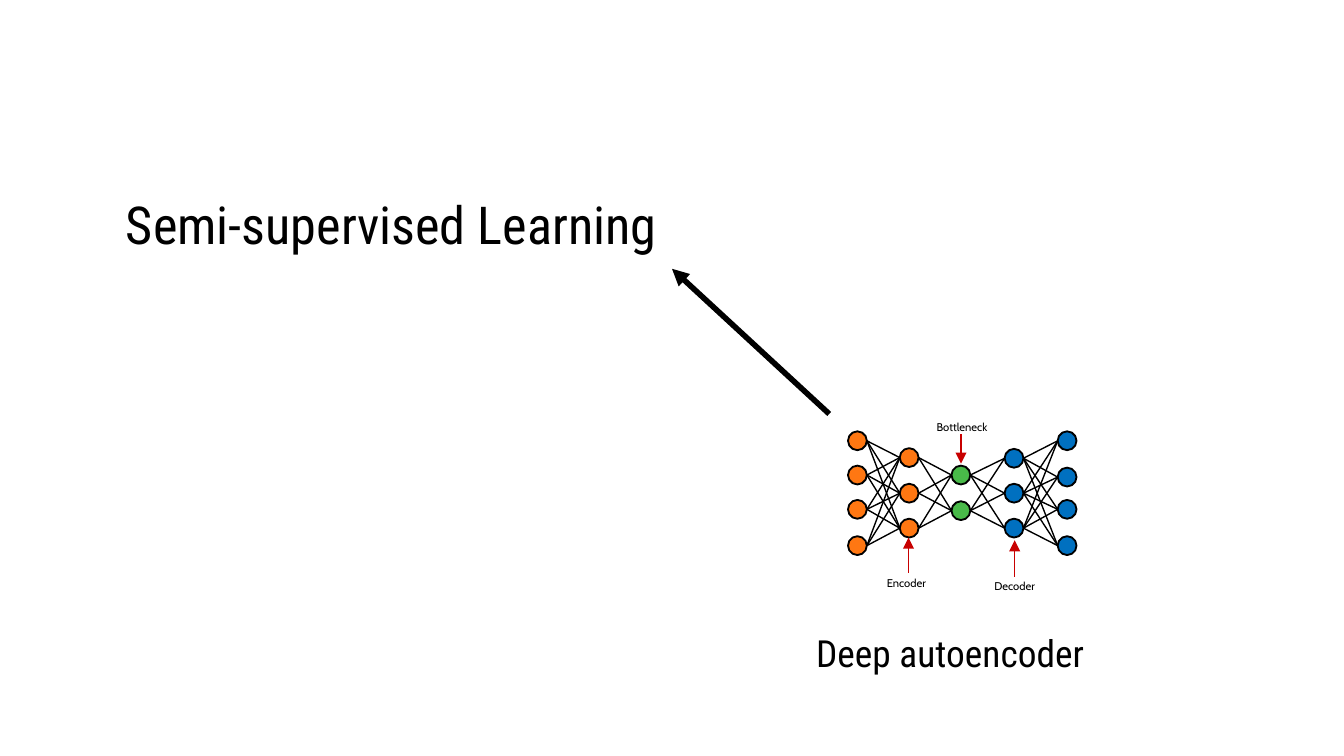
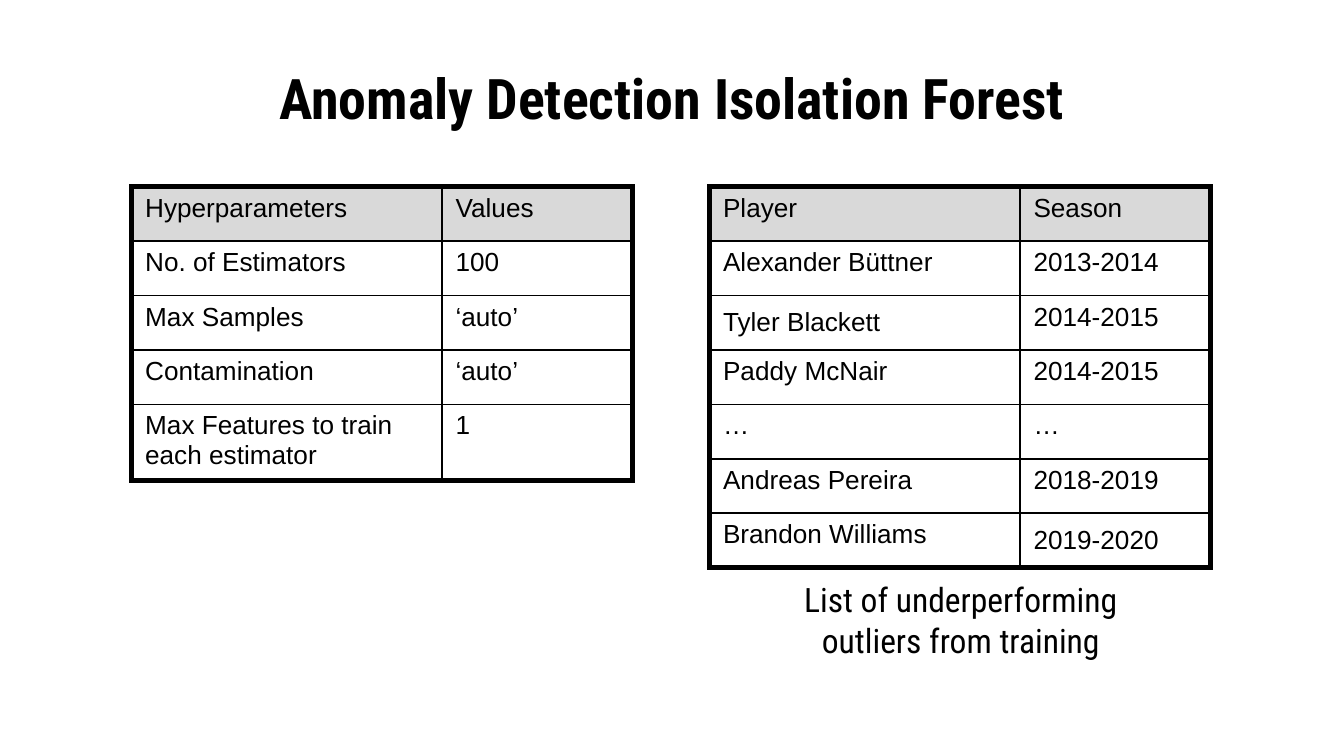
import itertools
from dataclasses import dataclass
from typing import Any

import pptx
import pptx.dml.color
import pptx.enum.shapes
import pptx.enum.text
import pptx.oxml
import pptx.oxml.ns
import pptx.oxml.xmlchemy
import pptx.util

PX = 4572  # EMU per px: 200 px to the inch
BLACK, ORANGE, GREEN, BLUE = "000000", "FF7712", "49BA49", "0070C0"
RED, WHITE, HEADER_GREY = "C80000", "FFFFFF", "D9D9D9"
HEADING_FONT, LABEL_FONT, TABLE_FONT = "Roboto Condensed", "Cabin", "Arial"
MIDDLE = pptx.enum.text.MSO_ANCHOR.MIDDLE
TOP = pptx.enum.text.MSO_ANCHOR.TOP
CENTER = pptx.enum.text.PP_ALIGN.CENTER
LEFT = pptx.enum.text.PP_ALIGN.LEFT

Point = tuple[int, int]


@dataclass(frozen=True)
class Style:
    font: str
    size: int
    bold: bool = False
    align: Any = CENTER
    anchor: Any = MIDDLE
    inset: tuple[int, int] = (20, 20)
    spacing: float | None = None
    wrap: bool = True


@dataclass(frozen=True)
class Layer:
    x: int
    ys: tuple[int, ...]
    color: str


@dataclass(frozen=True)
class Callout:
    text: str
    box: tuple[int, int, int, int]
    start: Point
    end: Point


@dataclass(frozen=True)
class Grid:
    left: int
    rows: tuple[tuple[str, str], ...]
    centred: tuple[Point, ...] = ()  # (row, column) of vertically centred cells


TITLE = Style(HEADING_FONT, 30, bold=True, anchor=TOP, spacing=0.5)
TOPIC = Style(HEADING_FONT, 28)
MODEL = Style(HEADING_FONT, 20)
CAPTION = Style(HEADING_FONT, 18, anchor=TOP)
LABEL = Style(LABEL_FONT, 6, align=LEFT, anchor=TOP, inset=(20, 10), wrap=False)
CELL = Style(TABLE_FONT, 14, align=LEFT)

NODE = 28
LAYERS = (
    Layer(1276, (656, 707, 758, 812), ORANGE),
    Layer(1353, (681, 734, 786), ORANGE),
    Layer(1430, (707, 760), GREEN),
    Layer(1509, (682, 734, 786), BLUE),
    Layer(1588, (656, 710, 758, 812), BLUE),
)
CALLOUTS = (
    Callout("Bottleneck", (1374, 616, 122, 40), (1430, 646), (1430, 690)),
    Callout("Encoder", (1300, 848, 104, 40), (1352, 852), (1352, 800)),
    Callout("Decoder", (1460, 852, 104, 40), (1510, 858), (1510, 804)),
)

COLUMN_WIDTHS = (462, 284)
ROW_HEIGHT = 81
TABLE_TOP = 278
HYPERPARAMETERS = Grid(196, (
    ("Hyperparameters", "Values"),
    ("No. of Estimators", "100"),
    ("Max Samples", "‘auto’"),
    ("Contamination", "‘auto’"),
    ("Max Features to train each estimator", "1"),
))
OUTLIERS = Grid(1056, (
    ("Player", "Season"),
    ("Alexander Büttner", "2013-2014"),
    ("Tyler Blackett", "2014-2015"),
    ("Paddy McNair", "2014-2015"),
    ("…", "…"),
    ("Andreas Pereira", "2018-2019"),
    ("Brandon Williams", "2019-2020"),
), centred=((2, 0), (6, 1)))


def px(*lengths: int) -> list[pptx.util.Emu]:
    return [pptx.util.Emu(length * PX) for length in lengths]


def rgb(value: str) -> pptx.dml.color.RGBColor:
    return pptx.dml.color.RGBColor.from_string(value)


def write(paragraph: Any, text: str, style: Style) -> None:
    paragraph.alignment = style.align
    if style.spacing:
        paragraph.line_spacing = style.spacing
    run = paragraph.add_run()
    run.text = text
    run.font.name = style.font
    run.font.size = pptx.util.Pt(style.size)
    run.font.bold = style.bold
    run.font.color.rgb = rgb(BLACK)


def add_text(shapes: Any, box: tuple[int, int, int, int], style: Style,
             *lines: str) -> None:
    frame = shapes.add_textbox(*px(*box)).text_frame
    frame.word_wrap = style.wrap
    frame.vertical_anchor = style.anchor
    side, upright = px(*style.inset)
    frame.margin_left = frame.margin_right = side
    frame.margin_top = frame.margin_bottom = upright
    for index, line in enumerate(lines):
        write(frame.add_paragraph() if index else frame.paragraphs[0], line, style)


def add_line(shapes: Any, start: Point, end: Point, color: str = BLACK,
             width: float = 0.75, arrow: bool = False) -> None:
    link = shapes.add_connector(
        pptx.enum.shapes.MSO_CONNECTOR.STRAIGHT, *px(*start, *end))
    link.line.color.rgb = rgb(color)
    link.line.width = pptx.util.Pt(width)
    properties = link._element.spPr
    if arrow:
        head = pptx.oxml.xmlchemy.OxmlElement("a:tailEnd")
        head.set("type", "triangle")
        properties.find(pptx.oxml.ns.qn("a:ln")).append(head)
    properties.append(pptx.oxml.xmlchemy.OxmlElement("a:effectLst"))


def add_node(shapes: Any, x: int, y: int, color: str) -> None:
    node = shapes.add_shape(
        pptx.enum.shapes.MSO_SHAPE.OVAL,
        *px(x - NODE // 2, y - NODE // 2, NODE, NODE))
    node.shadow.inherit = False
    node.fill.solid()
    node.fill.fore_color.rgb = rgb(color)
    node.line.color.rgb = rgb(BLACK)
    node.line.width = pptx.util.Pt(1)


def add_border(cell: Any, side: str, width: int) -> None:
    cell._tc.get_or_add_tcPr().append(pptx.oxml.parse_xml(
        f'<a:ln{side} {pptx.oxml.ns.nsdecls("a")} w="{int(pptx.util.Pt(width))}">'
        f'<a:solidFill><a:srgbClr val="{BLACK}"/></a:solidFill></a:ln{side}>'))


def add_grid(shapes: Any, grid: Grid) -> None:
    last_row, last_column = len(grid.rows) - 1, len(COLUMN_WIDTHS) - 1
    table = shapes.add_table(
        last_row + 1, last_column + 1,
        *px(grid.left, TABLE_TOP, sum(COLUMN_WIDTHS),
            ROW_HEIGHT * len(grid.rows))).table
    table.first_row = table.horz_banding = False
    for column, width in zip(table.columns, px(*COLUMN_WIDTHS)):
        column.width = width
    for r, row in enumerate(grid.rows):
        table.rows[r].height = px(ROW_HEIGHT)[0]
        for c, text in enumerate(row):
            cell = table.cell(r, c)
            cell.vertical_anchor = MIDDLE if (r, c) in grid.centred else TOP
            write(cell.text_frame.paragraphs[0], text, CELL)
            # Thick outer frame, thin inner rules
            outer = {"L": c == 0, "R": c == last_column,
                     "T": r == 0, "B": r == last_row}
            for side, is_outer in outer.items():
                add_border(cell, side, 3 if is_outer else 1)
            if r == 0:
                cell.fill.solid()
                cell.fill.fore_color.rgb = rgb(HEADER_GREY)
            else:
                cell.fill.background()


def add_slide(deck: Any) -> Any:
    slide = deck.slides.add_slide(deck.slide_layouts[6])
    slide.background.fill.solid()
    slide.background.fill.fore_color.rgb = rgb(WHITE)
    return slide.shapes


def build_learning_slide(deck: Any) -> None:
    shapes = add_slide(deck)

    # Autoencoder network with its caption
    network = shapes.add_group_shape().shapes
    add_text(network, (962, 926, 904, 90), MODEL, "Deep autoencoder")
    for layer in LAYERS:
        for y in layer.ys:
            add_node(network, layer.x, y, layer.color)
    for near, far in itertools.pairwise(LAYERS):
        for y1, y2 in itertools.product(near.ys, far.ys):
            add_line(network, (near.x + NODE // 2, y1), (far.x - NODE // 2, y2))
    for callout in CALLOUTS:
        add_line(network, callout.start, callout.end, RED, arrow=True)
        add_text(network, callout.box, LABEL, callout.text)

    # Topic it leads to
    add_text(shapes, (130, 288, 904, 90), TOPIC, "Semi-supervised Learning")
    add_line(shapes, (1234, 616), (1000, 400), width=3, arrow=True)


def build_anomaly_slide(deck: Any) -> None:
    shapes = add_slide(deck)
    add_text(shapes, (156, 118, 1688, 90), TITLE,
             "Anomaly Detection Isolation Forest")
    for grid in (HYPERPARAMETERS, OUTLIERS):
        add_grid(shapes, grid)
    add_text(shapes, (984, 842, 892, 90), CAPTION,
             "List of underperforming", "outliers from training")


def main() -> None:
    deck = pptx.Presentation()
    deck.slide_width, deck.slide_height = px(2000, 1125)
    build_learning_slide(deck)
    build_anomaly_slide(deck)
    deck.save("out.pptx")


if __name__ == "__main__":
    main()
